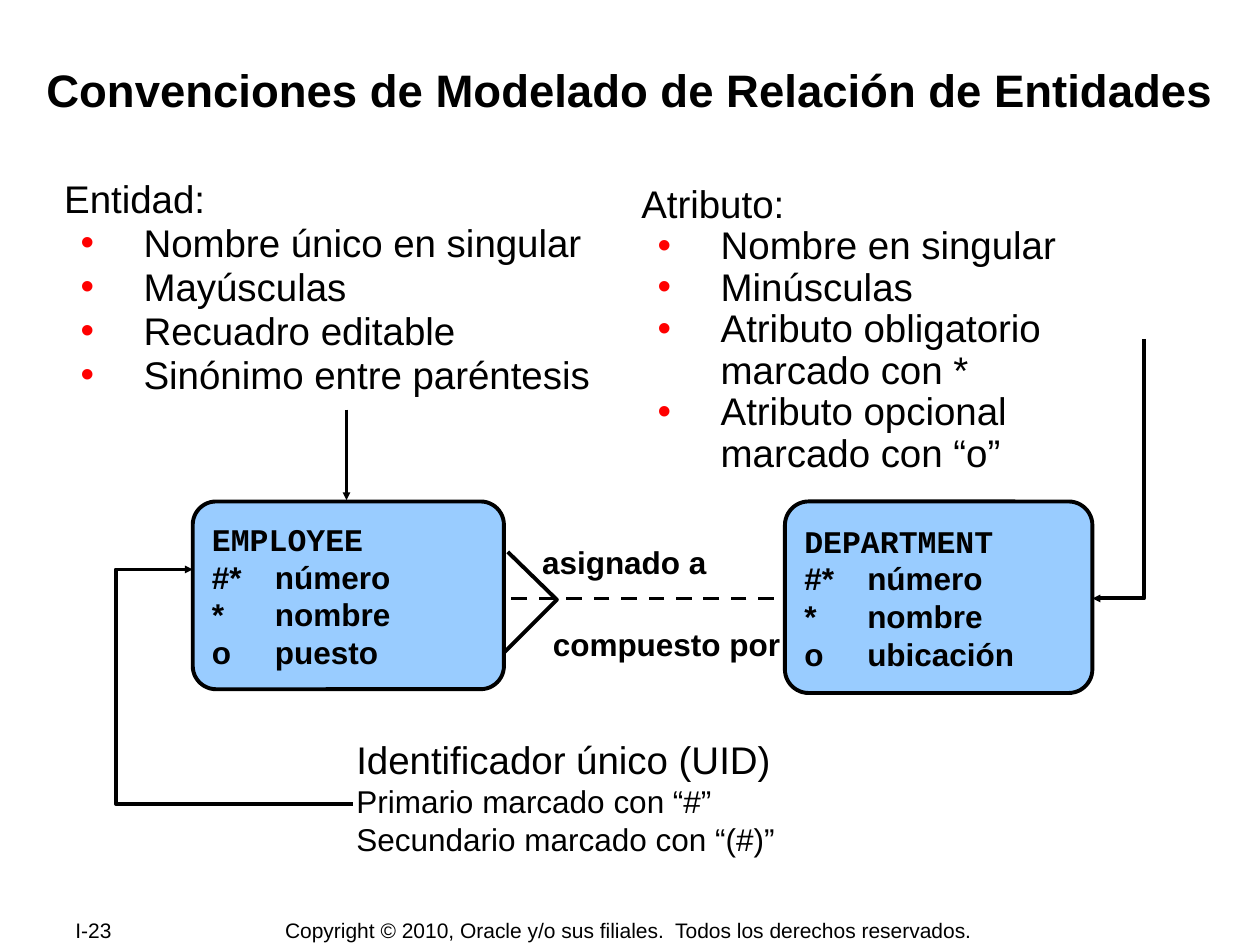
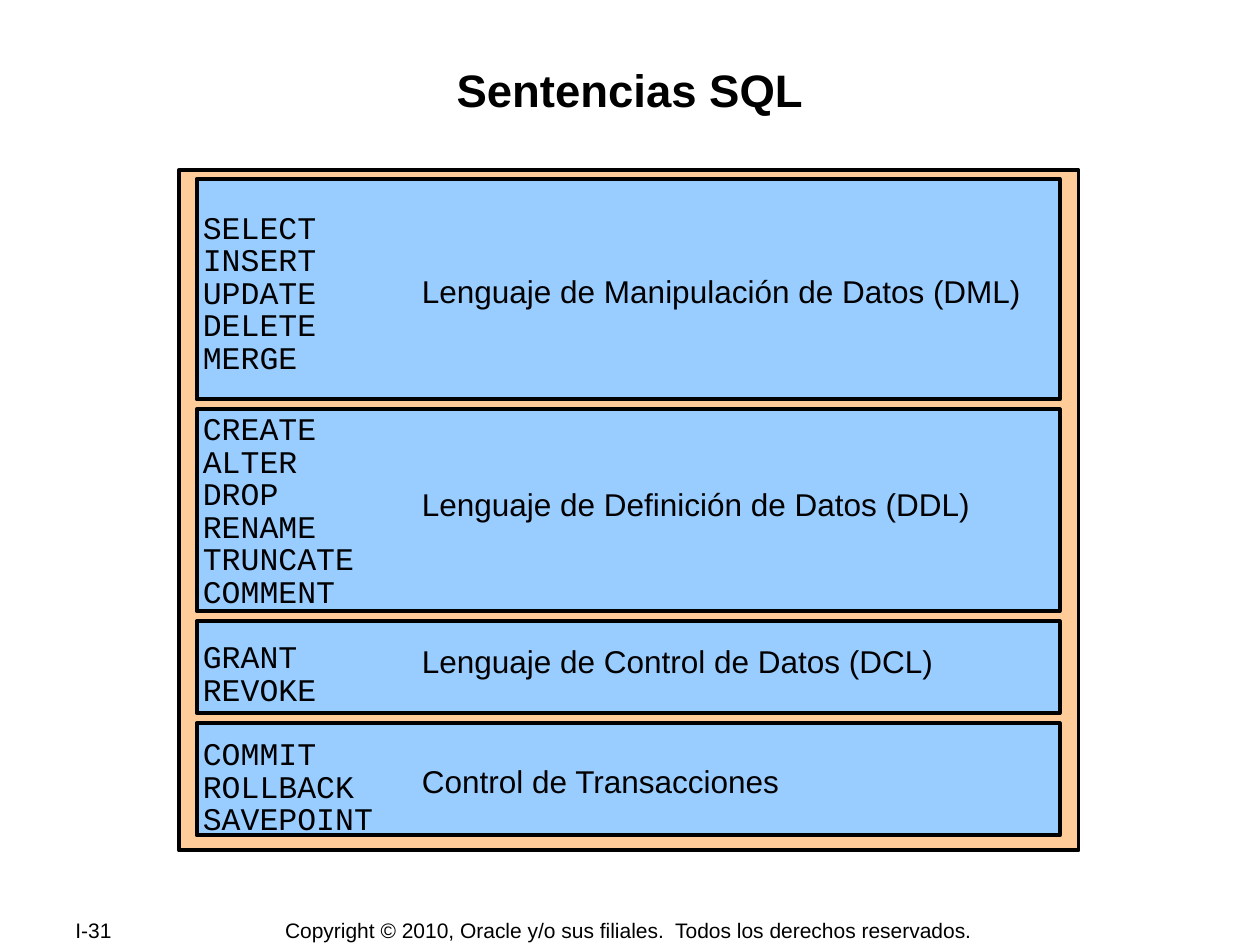
from pptx import Presentation
from pptx.dml.color import RGBColor
from pptx.enum.dml import MSO_LINE
from pptx.enum.shapes import MSO_CONNECTOR, MSO_SHAPE
from pptx.enum.text import MSO_ANCHOR, PP_ALIGN
from pptx.oxml.ns import qn
from pptx.util import Inches, Pt
from lxml.etree import SubElement

BLACK = RGBColor(0x00, 0x00, 0x00)
RED = RGBColor(0xFF, 0x00, 0x00)
BLUE = RGBColor(0x99, 0xCC, 0xFF)
PEACH = RGBColor(0xFF, 0xCC, 0x99)

SANS, MONO = "Arial", "Courier New"
LINE_WIDTH = Pt(2.25)
TEXT_INSETS = (0.1, 0.05, 0.1, 0.05)
TIGHT_INSETS = (0.01, 0.01, 0.01, 0.01)
TITLE_FONT = {"name": SANS, "size": Pt(26), "bold": True}
BODY_FONT = {"name": SANS, "size": Pt(22)}
LABEL_FONT = {"name": SANS, "size": Pt(18)}
STRONG_FONT = {**LABEL_FONT, "bold": True}
FOOTER_FONT = {"name": SANS, "size": Pt(12)}
COMMAND_FONT = {"name": MONO, "size": Pt(18)}

COPYRIGHT = "Copyright © 2010, Oracle y/o sus filiales.  Todos los derechos reservados."
TITLE_TOP, TITLE_HEIGHT = 0.48, 0.96
FOOTER_TOP, FOOTER_HEIGHT = 7.28, 0.2
BAND_GAP = 0.08


def apply(target, values):
    for key, value in values.items():
        setattr(target, key, value)


def inches(box):
    return [Inches(length) for length in box]


def set_frame(frame, insets=TEXT_INSETS, anchor=MSO_ANCHOR.TOP, wrap=True):
    sides = ("margin_left", "margin_top", "margin_right", "margin_bottom")
    apply(frame, dict(zip(sides, inches(insets))))
    apply(frame, {"vertical_anchor": anchor, "word_wrap": wrap})


def write(frame, lines, font, **layout):
    for index, line in enumerate(lines):
        paragraph = frame.paragraphs[0] if index == 0 else frame.add_paragraph()
        paragraph.text = line
        apply(paragraph, {"alignment": PP_ALIGN.LEFT, **layout})
        apply(paragraph.font, font)
        paragraph.font.color.rgb = BLACK
    return frame.paragraphs


def add_label(slide, box, lines, font, insets=TEXT_INSETS, anchor=MSO_ANCHOR.TOP, **layout):
    frame = slide.shapes.add_textbox(*inches(box)).text_frame
    set_frame(frame, insets, anchor)
    return write(frame, lines, font, **layout)


def add_panel(slide, kind, box, fill):
    panel = slide.shapes.add_shape(kind, *inches(box))
    panel.shadow.inherit = False
    panel.fill.solid()
    panel.fill.fore_color.rgb = fill
    stroke(panel)
    return panel


def stroke(shape, arrow=False):
    shape.line.color.rgb = BLACK
    shape.line.width = LINE_WIDTH
    if arrow:
        SubElement(shape.line._get_or_add_ln(), qn("a:tailEnd"), type="triangle", w="sm", len="sm")


def add_line(slide, start, end, arrow=False, dash=None):
    line = slide.shapes.add_connector(MSO_CONNECTOR.STRAIGHT, *inches(start + end))
    line.line.dash_style = dash
    stroke(line, arrow)
    SubElement(line._element.spPr, qn("a:effectLst"))


def add_path(slide, points, arrow=False):
    start, *rest = [inches(point) for point in points]
    builder = slide.shapes.build_freeform(*start)
    builder.add_line_segments(rest, close=False)
    path = builder.convert_to_shape()
    path.shadow.inherit = False
    path.fill.background()
    stroke(path, arrow)


def add_bullet(paragraph):
    properties = paragraph._p.get_or_add_pPr()
    properties.set("marL", str(Inches(0.63)))
    properties.set("indent", str(Inches(-0.5)))
    # The bullet goes ahead of the default run properties.
    bullet = [SubElement(properties, qn(tag)) for tag in ("a:buClr", "a:buFont", "a:buChar")]
    SubElement(bullet[0], qn("a:srgbClr"), val=str(RED))
    bullet[1].set("typeface", SANS)
    bullet[2].set("char", "•")
    defaults = properties.find(qn("a:defRPr"))
    if defaults is not None:
        properties.append(defaults)


def add_rules(slide, box, heading, rules, heading_layout, rule_layout):
    """Heading followed by a list with red bullets."""
    paragraphs = add_label(slide, box, [heading, *rules], BODY_FONT, TIGHT_INSETS)
    apply(paragraphs[0], heading_layout)
    for paragraph in paragraphs[1:]:
        apply(paragraph, rule_layout)
        add_bullet(paragraph)


def add_entity(slide, box, name, attributes):
    entity = add_panel(slide, MSO_SHAPE.ROUNDED_RECTANGLE, box, BLUE)
    entity.adjustments[0] = 0.124
    set_frame(entity.text_frame, anchor=MSO_ANCHOR.MIDDLE, wrap=False)
    rows = [f"{mark}\t{attribute}" for mark, attribute in zip(("#*", "*", "o"), attributes)]
    paragraphs = write(entity.text_frame, [name, *rows], STRONG_FONT)
    paragraphs[0].font.name = MONO


def add_band(slide, box, commands, commands_top, language, language_top):
    left, top, width, _ = box
    band = add_panel(slide, MSO_SHAPE.RECTANGLE, box, BLUE)
    set_frame(band.text_frame, (0.05, commands_top, 0.05, 0))
    write(band.text_frame, commands, COMMAND_FONT, line_spacing=Pt(18.6))
    add_label(slide, (left + 1.69, top + language_top, width - 1.75, 0.4), [language], LABEL_FONT)


def add_titled_slide(deck, title, page, title_left, title_width):
    slide = deck.slides.add_slide(deck.slide_layouts[5])
    heading = slide.shapes.title
    title_box = inches((title_left, TITLE_TOP, title_width, TITLE_HEIGHT))
    apply(heading, dict(zip(("left", "top", "width", "height"), title_box)))
    set_frame(heading.text_frame, TIGHT_INSETS)
    write(heading.text_frame, [title], TITLE_FONT, alignment=PP_ALIGN.CENTER)
    footers = ((0.5, 1.06, page, PP_ALIGN.LEFT), (2, 5.98, COPYRIGHT, PP_ALIGN.CENTER))
    for left, width, text, alignment in footers:
        add_label(slide, (left, FOOTER_TOP, width, FOOTER_HEIGHT), [text], FOOTER_FONT,
                  anchor=MSO_ANCHOR.MIDDLE, alignment=alignment)
    return slide


def build_modeling_slide(deck):
    slide = add_titled_slide(
        deck, "Convenciones de Modelado de Relación de Entidades", "I-23", 0.25, 9.5)

    add_line(slide, (6.36, 4.75), (3.71, 4.75), dash=MSO_LINE.DASH)
    add_path(slide, [(4.03, 4.38), (4.42, 4.76), (3.92, 5.26)])
    add_entity(slide, (1.53, 3.98, 2.47, 1.49), "EMPLOYEE", ("número", "nombre", "puesto"))
    add_entity(slide, (6.23, 3.98, 2.44, 1.52), "DEPARTMENT", ("número", "nombre", "ubicación"))

    spaced = {"line_spacing": 0.9}
    add_rules(slide, (0.5, 1.42, 4.5, 1.75), "Entidad:",
              ["Nombre único en singular", "Mayúsculas", "Recuadro editable",
               "Sinónimo entre paréntesis"], spaced, {**spaced, "space_before": Pt(1.4)})
    add_rules(slide, (5.08, 1.42, 4.25, 2.37), "Atributo:",
              ["Nombre en singular", "Minúsculas", "Atributo obligatorio marcado con *",
               "Atributo opcional \vmarcado con “o”"], {}, spaced)
    identifier = add_label(slide, (2.73, 5.79, 3.8, 1.07),
                           ["Identificador único (UID)", "Primario marcado con “#”",
                            "Secundario marcado con “(#)”"], LABEL_FONT)
    identifier[0].font.size = BODY_FONT["size"]

    add_line(slide, (2.75, 3.25), (2.75, 3.97), arrow=True)
    add_path(slide, [(9.08, 2.69), (9.08, 4.75), (8.67, 4.75)], arrow=True)
    add_path(slide, [(2.8, 6.38), (0.92, 6.38), (0.92, 4.52), (1.53, 4.52)], arrow=True)
    for box, role in (((4.1, 4.26, 1.71, 0.4), "asignado a"),
                      ((4.13, 4.91, 2.32, 0.4), "compuesto por")):
        add_label(slide, box, [role], STRONG_FONT, alignment=PP_ALIGN.CENTER)


def build_statements_slide(deck):
    slide = add_titled_slide(deck, "Sentencias SQL", "I-31", 0.67, 8.66)
    add_panel(slide, MSO_SHAPE.RECTANGLE, (1.42, 1.35, 7.14, 5.4), PEACH)
    bands = (
        (1.75, "SELECT INSERT UPDATE DELETE MERGE", 0.27,
         "Lenguaje de Manipulación de Datos (DML)", 0.69),
        (1.6, "CREATE ALTER DROP RENAME TRUNCATE COMMENT", 0.04,
         "Lenguaje de Definición de Datos (DDL)", 0.55),
        (0.73, "GRANT REVOKE", 0.17, "Lenguaje de Control de Datos (DCL)", 0.12),
        (0.89, "COMMIT ROLLBACK SAVEPOINT", 0.13, "Control de Transacciones", 0.26),
    )
    top = 1.42
    for height, commands, commands_top, language, language_top in bands:
        add_band(slide, (1.56, top, 6.85, height), commands.split(), commands_top,
                 language, language_top)
        top += height + BAND_GAP


def main():
    deck = Presentation()
    deck.slide_width, deck.slide_height = Inches(10), Inches(7.5)
    build_modeling_slide(deck)
    build_statements_slide(deck)
    deck.save("out.pptx")


if __name__ == "__main__":
    main()
